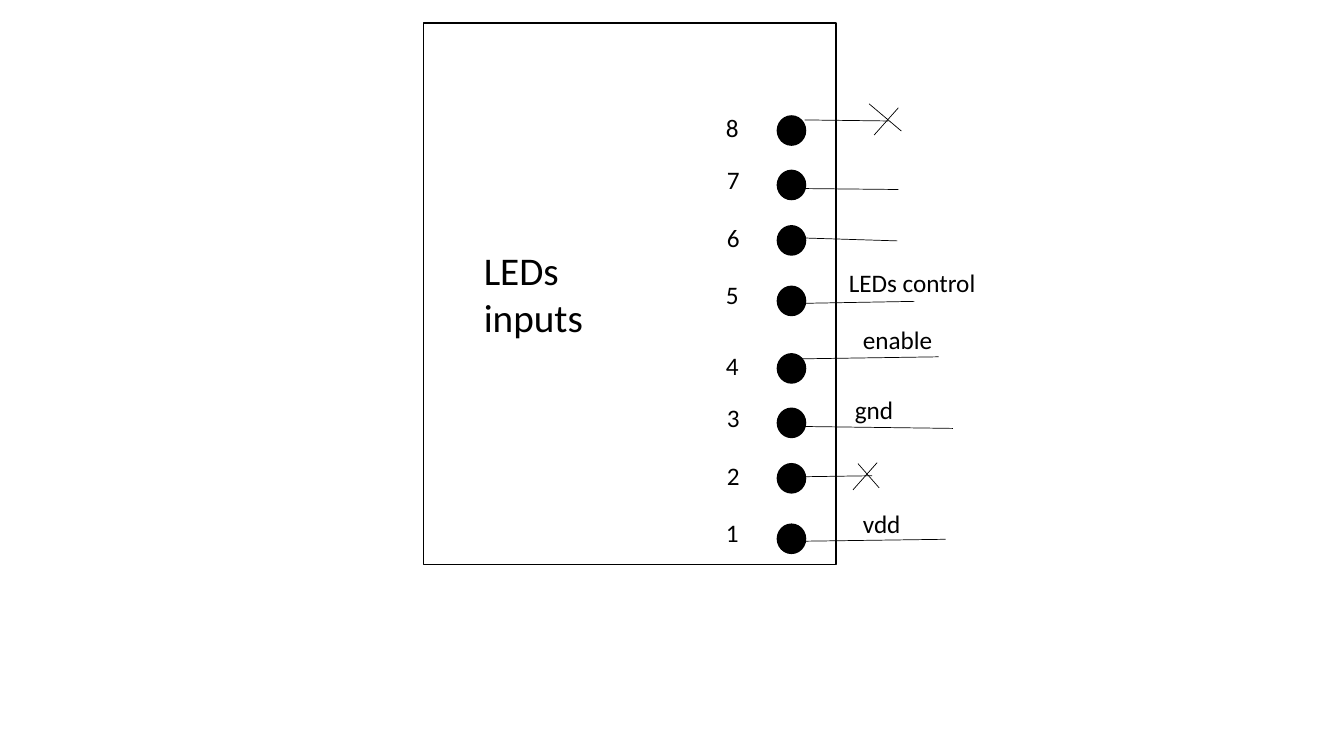
"""Draw a panel of LED inputs with two banks of four numbered pins."""
import pptx
import pptx.util
import pptx.dml.color
import pptx.enum.shapes
import pptx.oxml.ns
import lxml.etree

Inches = pptx.util.Inches
KINDS = pptx.enum.shapes.MSO_SHAPE
INK = {"black": "000000", "white": "FFFFFF"}
PINS = [(0, 0, 0.08), (0.01, 0.51, 0.62), (0.01, 1.09, 1.17), (0, 1.65, 1.77)]
BANKS = [
    {
        "top": 0.84,
        "first": 8,
        "wires": [(1.71, 0.13, 0.88, 0.12), (1.81, 0.81, 0.78, 0.8),
                  (1.8, 1.32, 0.84, 1.29), (1.97, 1.92, 0.83, 1.94)],
        "cross": [(1.84, 0.23, 1.52, -0.04), (1.81, 0, 1.57, 0.27)],
        "tags": [("LEDs control", 1.22, 1.53, 1.49)],
    },
    {
        "top": 3.2,
        "first": 4,
        "wires": [(2.21, 0.11, 0.85, 0.13), (2.35, 0.82, 0.78, 0.8),
                  (1.55, 1.29, 0.84, 1.3), (2.28, 1.92, 0.83, 1.94)],
        "cross": [(1.6, 1.16, 1.36, 1.43), (1.41, 1.17, 1.62, 1.41)],
        "tags": [("enable", 1.36, -0.26, 1.01), ("gnd", 1.28, 0.43, 0.69),
                 ("vdd", 1.36, 1.56, 0.69)],
    },
]


def tint(name):
    """Return the named colour."""
    return pptx.dml.color.RGBColor.from_string(INK[name])


def add_form(slide, kind, box, fill):
    """Add a filled shape with a thin black outline."""
    form = slide.shapes.add_shape(kind, *map(Inches, box))
    form.shadow.inherit = False
    form.fill.solid()
    form.fill.fore_color.rgb = tint(fill)
    form.line.color.rgb = tint("black")
    form.line.width = pptx.util.Pt(1)


def add_text(slide, words, box, size=18):
    """Add a wrapped text box."""
    frame = slide.shapes.add_textbox(*map(Inches, box)).text_frame
    frame.word_wrap = True
    frame.text = words
    font = frame.paragraphs[0].runs[0].font
    font.name = "Calibri"
    font.size = pptx.util.Pt(size)
    font.color.rgb = tint("black")


def add_wire(slide, left, top, ends):
    """Add a hairline whose ends are offsets from the given corner."""
    x1, y1, x2, y2 = ends
    points = (left + x1, top + y1, left + x2, top + y2)
    wire = slide.shapes.add_connector(
        pptx.enum.shapes.MSO_CONNECTOR.STRAIGHT, *map(Inches, points))
    wire.line.color.rgb = tint("black")
    wire.line.width = pptx.util.Pt(0.5)
    props = wire._element.spPr
    lxml.etree.SubElement(props, pptx.oxml.ns.qn("a:effectLst"))


def add_bank(slide, left, top, bank):
    """Add four pins with their numbers, wires, cross and tags."""
    for step, (shift, num_top, dot_top) in enumerate(PINS):
        add_form(slide, KINDS.OVAL,
                 (left + 0.61, top + dot_top, 0.28, 0.29), "black")
        add_text(slide, str(bank["first"] - step),
                 (left + shift, top + num_top, 0.69, 0.4))
    for ends in bank["wires"] + bank["cross"]:
        add_wire(slide, left, top, ends)
    for words, x, y, width in bank["tags"]:
        add_text(slide, words, (left + x, top + y, width, 0.4))


def add_panel(slide, left, top, width, height):
    """Add the panel with its title and both banks of pins."""
    add_form(slide, KINDS.RECTANGLE, (left, top, width, height), "white")
    add_text(slide, "LEDs inputs", (left + 0.5, top + 2.16, 1.43, 1.04), 28)
    for bank in BANKS:
        add_bank(slide, left + 2.9, top + bank["top"], bank)


deck = pptx.Presentation()
deck.slide_width = Inches(13.33)
deck.slide_height = Inches(7.5)
page = deck.slides.add_slide(deck.slide_layouts[6])
add_panel(page, 4.2, 0.23, 4.09, 5.37)
deck.save("out.pptx")
